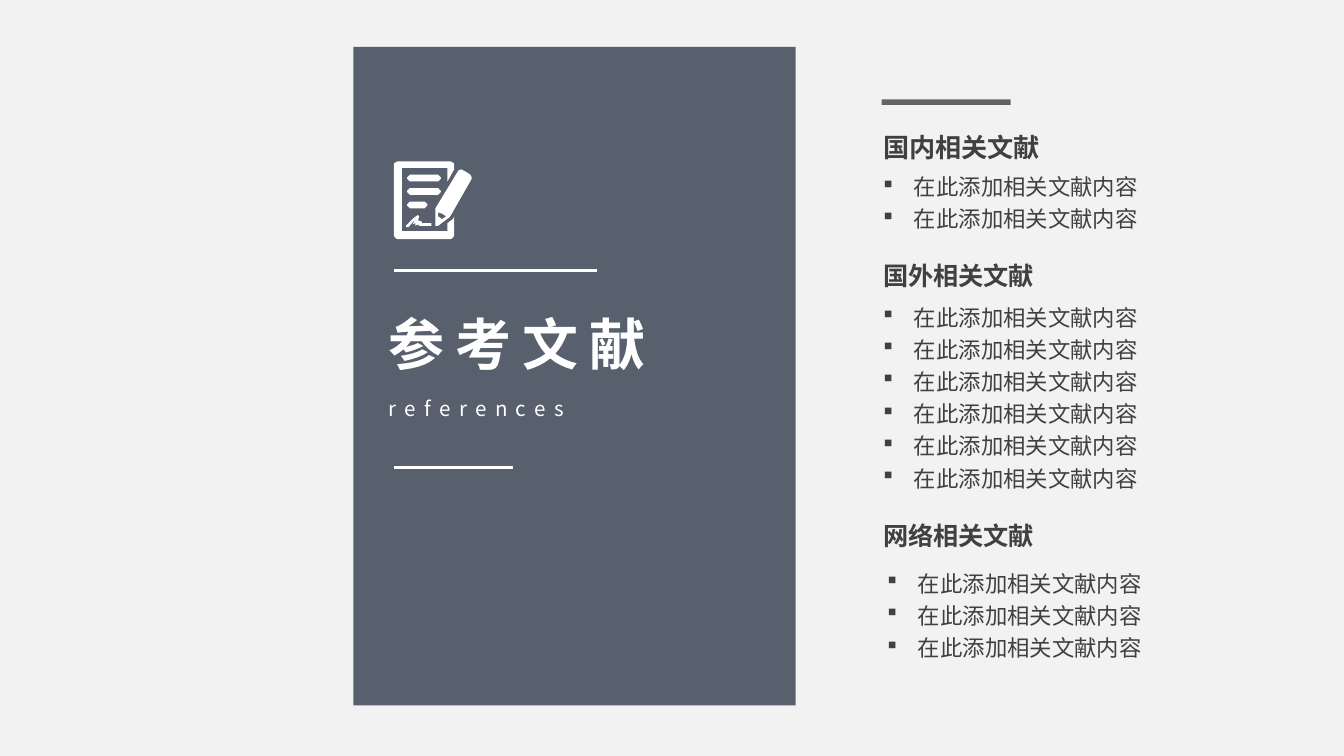
"""Builds a references slide with a title panel and three grouped lists."""
from lxml import etree
from pptx import Presentation
from pptx.dml.color import RGBColor
from pptx.enum.shapes import MSO_CONNECTOR, MSO_SHAPE
from pptx.enum.text import MSO_AUTO_SIZE, PP_ALIGN
from pptx.oxml.ns import qn
from pptx.util import Inches, Pt

RECTANGLE = MSO_SHAPE.RECTANGLE
STRAIGHT = MSO_CONNECTOR.STRAIGHT
GROW = MSO_AUTO_SIZE.SHAPE_TO_FIT_TEXT
LEFT, JUSTIFY = PP_ALIGN.LEFT, PP_ALIGN.JUSTIFY

FONT = "Noto Sans CJK SC"
COLORS = {"back": "F2F2F2", "panel": "323C4E", "text": "404040", "white": "FFFFFF"}
ENTRY = "在此添加相关文献内容"
GROUPS = [
    {"title": "国内相关文献", "size": 14, "at": (6.5, 0.89, 2.59, 0.36),
     "count": 2, "list_at": (6.5, 1.21, 2.59, 0.56)},
    {"title": "国外相关文献", "size": 13.5, "at": (6.5, 1.85, 3.08, 0.35),
     "count": 6, "list_at": (6.5, 2.18, 2.91, 1.53)},
    {"title": "网络相关文献", "size": 13.5, "at": (6.5, 3.79, 3.08, 0.35),
     "count": 3, "list_at": (6.53, 4.16, 2.91, 0.8)},
]
BLOCKS = [("text", (6.56, 0.74, 0.96, 0.04)), ("panel", (2.63, 0.35, 3.29, 4.9))]
RULES = [(2.01, 4.44), (3.48, 3.82)]
RULE_LEFT = 2.93
NOTE_UNIT = 0.01
NOTE_BARS = [(130, 328), (140, 328), (150, 318)]
NOTE_OUTLINES = [
    [(296, 120), (335, 120), (337, 121), (338, 122), (338, 126), (333, 135),
     (333, 125), (299, 125), (299, 172), (333, 172), (333, 166), (337, 163),
     (338, 161), (338, 175), (337, 177), (335, 178), (296, 178), (294, 177),
     (293, 175), (293, 122), (294, 121)],
    [(343, 126), (347, 128), (350, 130), (351, 132), (351, 133), (335, 161),
     (334, 162), (326, 168), (324, 168), (324, 155), (341, 127)],
    [(326, 158), (326, 161), (329, 163), (332, 161), (329, 159)],
    [(311, 160), (312, 161), (311, 164), (314, 165), (314, 166), (321, 166),
     (321, 168), (312, 168), (311, 167), (309, 168), (309, 166), (307, 167),
     (309, 163), (304, 169), (302, 169), (302, 168), (308, 162)],
]


def color(name):
    return RGBColor.from_string(COLORS[name])


def paint(shape, name):
    shape.shadow.inherit = False
    shape.fill.solid()
    shape.fill.fore_color.rgb = color(name)
    shape.line.fill.background()


def add_block(page, at, name):
    block = page.shapes.add_shape(RECTANGLE, *map(Inches, at))
    paint(block, name)
    tint = block._element.spPr.find(qn("a:solidFill")).find(qn("a:srgbClr"))
    etree.SubElement(tint, qn("a:alpha"), val="80000")


def add_bullet(para):
    props = para._p.get_or_add_pPr()
    props.set("marL", str(Inches(0.23)))
    props.set("indent", str(Inches(-0.23)))
    tint = etree.SubElement(props, qn("a:buClr"))
    etree.SubElement(tint, qn("a:srgbClr"), val=COLORS["text"])
    etree.SubElement(props, qn("a:buFont"), typeface="Wingdings", charset="2")
    etree.SubElement(props, qn("a:buChar"), char="§")


def add_text(page, at, lines, size, name="text", bold=False, spread=0,
             leading=None, bullets=False, align=LEFT):
    frame = page.shapes.add_textbox(*map(Inches, at)).text_frame
    frame.word_wrap = True
    frame.auto_size = GROW
    frame.margin_left = frame.margin_right = Inches(0.07)
    frame.margin_top = frame.margin_bottom = Inches(0.04)
    frame.text = "\n".join(lines)
    for para in frame.paragraphs:
        if bullets:
            add_bullet(para)
        para.alignment = align
        para.line_spacing = leading
        for span in para.runs:
            span.font.size = Pt(size)
            span.font.bold = bold
            span.font.name = FONT
            span.font.color.rgb = color(name)
            props = span._r.get_or_add_rPr()
            etree.SubElement(props, qn("a:ea"), typeface=FONT)
            if spread:
                props.set("spc", str(int(spread * 100)))


def add_rule(page, top, right):
    rule = page.shapes.add_connector(
        STRAIGHT, Inches(RULE_LEFT), Inches(top), Inches(right), Inches(top))
    rule.line.color.rgb = color("white")
    rule.line.width = Pt(1.5)
    etree.SubElement(rule._element.spPr, qn("a:effectLst"))


def bar_outline(top, right, left=303, height=5):
    bottom = top + height
    return [(left + 2, top), (right - 2, top), (right, top + 2), (right, bottom - 2),
            (right - 2, bottom), (left + 2, bottom), (left, bottom - 2), (left, top + 2)]


def add_note_icon(page):
    first, *others = NOTE_OUTLINES + [bar_outline(*bar) for bar in NOTE_BARS]
    builder = page.shapes.build_freeform(*first[0], scale=Inches(NOTE_UNIT))
    builder.add_line_segments(first[1:])
    for outline in others:
        builder.move_to(*outline[0])
        builder.add_line_segments(outline[1:])
    paint(builder.convert_to_shape(), "white")


def main():
    deck = Presentation()
    deck.slide_width = Inches(10)
    deck.slide_height = deck.slide_width * 9 // 16
    page = deck.slides.add_slide(deck.slide_layouts[6])
    page.background.fill.solid()
    page.background.fill.fore_color.rgb = color("back")

    for group in GROUPS:
        add_text(page, group["list_at"], [ENTRY] * group["count"], 12,
                 leading=1.2, bullets=True)
        add_text(page, group["at"], [group["title"]], group["size"],
                 bold=True, leading=1.2)
    for name, at in BLOCKS:
        add_block(page, at, name)

    add_text(page, (2.82, 2.26, 3.63, 0.58), ["参考文献"], 30, "white", bold=True, spread=6)
    add_text(page, (2.82, 2.91, 2.35, 0.26), ["references"], 11, "white",
             spread=4.5, align=JUSTIFY)
    for top, right in RULES:
        add_rule(page, top, right)
    add_note_icon(page)
    deck.save("out.pptx")


if __name__ == "__main__":
    main()
